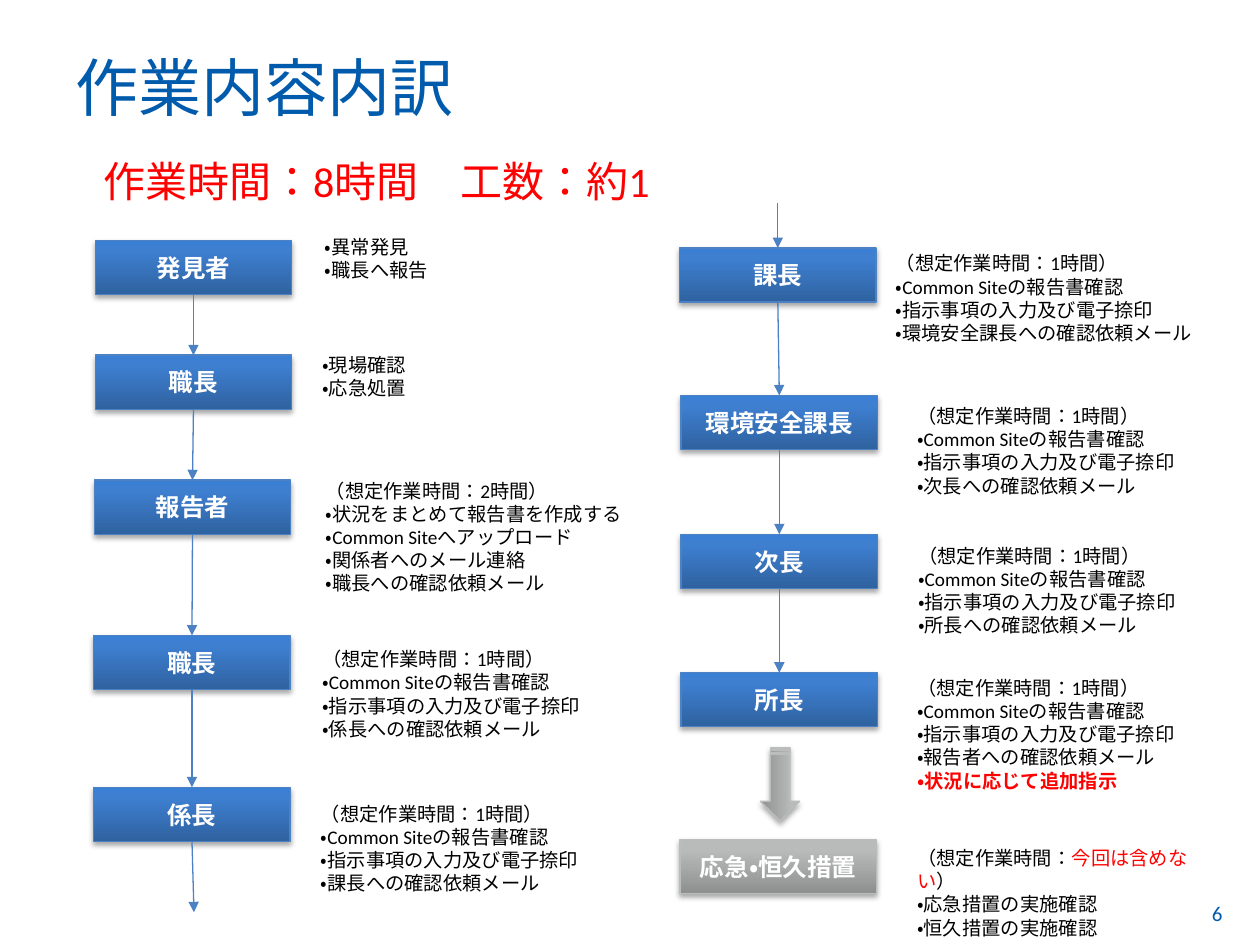
from copy import deepcopy
from dataclasses import dataclass
from itertools import pairwise

from lxml.etree import SubElement
from pptx import Presentation
from pptx.dml.color import RGBColor
from pptx.enum.lang import MSO_LANGUAGE_ID
from pptx.enum.shapes import MSO_CONNECTOR, MSO_SHAPE
from pptx.enum.text import MSO_ANCHOR, PP_ALIGN
from pptx.oxml.ns import qn
from pptx.util import Cm, Pt

WHITE = RGBColor(0xFF, 0xFF, 0xFF)
BLACK = RGBColor(0x00, 0x00, 0x00)
RED = RGBColor(0xFF, 0x00, 0x00)
TITLE_BLUE = RGBColor(0x00, 0x5B, 0xAC)
LINE_BLUE = RGBColor(0x4C, 0x82, 0xC3)
LINE_GRAY = RGBColor(0xBB, 0xBC, 0xBC)
BLUES = (RGBColor(0x2F, 0x62, 0xA0), RGBColor(0x3E, 0x7F, 0xD0), RGBColor(0x3B, 0x7F, 0xD4))
GRAYS = (RGBColor(0x8E, 0x8F, 0x8F), RGBColor(0xB9, 0xBA, 0xBA), RGBColor(0xBA, 0xBB, 0xBB))

BOX_W, BOX_H = 3.96, 1.09
HOUR = "（想定作業時間：1時間）"
REVIEW = (HOUR, "・Common Siteの報告書確認", "・指示事項の入力及び電子捺印")


@dataclass
class Area:
    x: float
    y: float
    w: float
    h: float

    def emu(self) -> tuple:
        return Cm(self.x), Cm(self.y), Cm(self.w), Cm(self.h)


@dataclass
class Step:
    role: str
    x: float
    y: float
    note: Area
    lines: tuple

    def center(self) -> float:
        return self.x + BOX_W / 2


LEFT_STEPS = [
    Step("発見者", 1.92, 4.85, Area(6.3, 4.62, 4.52, 1.6), ("・異常発見", "・職長へ報告")),
    Step("職長", 1.92, 7.16, Area(6.25, 6.99, 4.52, 1.6), ("・現場確認", "・応急処置")),
    Step("報告者", 1.9, 9.68, Area(6.32, 9.53, 7.09, 3.71),
         ("（想定作業時間：2時間）", "・状況をまとめて報告書を作成する",
          "・Common Siteへアップロード", "・関係者へのメール連絡", "・職長への確認依頼メール")),
    Step("職長", 1.89, 12.81, Area(6.25, 12.93, 7.09, 3.2), (*REVIEW, "・係長への確認依頼メール")),
    Step("係長", 1.89, 15.87, Area(6.22, 16.05, 7.09, 2.31), (*REVIEW, "・課長への確認依頼メール")),
]
RIGHT_STEPS = [
    Step("課長", 13.7, 5, Area(17.81, 4.95, 6.65, 2.51), (*REVIEW, "・環境安全課長への確認依頼メール")),
    Step("環境安全課長", 13.73, 7.97, Area(18.24, 8.03, 6.2, 2.51), (*REVIEW, "・次長への確認依頼メール")),
    Step("次長", 13.73, 10.77, Area(18.26, 10.85, 6.2, 2.51), (*REVIEW, "・所長への確認依頼メール")),
    Step("所長", 13.73, 13.56, Area(18.24, 13.51, 5.87, 3.2),
         (*REVIEW, "・報告者への確認依頼メール", "・状況に応じて追加指示")),
]


def format_run(r, size: float, color: RGBColor, bold: bool = False) -> None:
    r.font.name = "Calibri"
    r.font.language_id = MSO_LANGUAGE_ID.JAPANESE
    r.font.size = Pt(size)
    r.font.color.rgb = color
    r.font.bold = bold


def write(sp, lines: tuple, size: float, color: RGBColor, bold: bool = False,
          align=PP_ALIGN.LEFT, anchor=MSO_ANCHOR.TOP):
    tf = sp.text_frame
    tf.word_wrap = True
    tf.vertical_anchor = anchor
    tf.text = "\n".join(lines)
    for p in tf.paragraphs:
        p.alignment = align
        for r in p.runs:
            format_run(r, size, color, bold)
    return tf


def add_label(s, area: Area, text: str, size: float, color: RGBColor, anchor=MSO_ANCHOR.TOP) -> None:
    write(s.shapes.add_textbox(*area.emu()), (text,), size, color, anchor=anchor)


def add_glossy(s, kind, area: Area, colors: tuple, line: RGBColor):
    sp = s.shapes.add_shape(kind, *area.emu())
    sp.fill.gradient()
    sp.fill.gradient_angle = 90
    first_stop = next(sp._element.spPr.iter(qn("a:gs")))
    first_stop.addnext(deepcopy(first_stop))
    for stop, position, color in zip(sp.fill.gradient_stops, (0, 0.8, 1), colors):
        stop.position = position
        stop.color.rgb = color
    sp.line.color.rgb = line
    sp.line.width = Pt(0.75)
    sp.shadow.inherit = False
    effects = sp._element.spPr.find(qn("a:effectLst"))
    shadow = SubElement(effects, qn("a:outerShdw"), blurRad="40000", dist="23000",
                        dir="5400000", rotWithShape="0")
    black = SubElement(shadow, qn("a:srgbClr"), val="000000")
    SubElement(black, qn("a:alpha"), val="35000")
    return sp


def add_box(s, x: float, y: float, role: str, colors: tuple, line: RGBColor) -> None:
    sp = add_glossy(s, MSO_SHAPE.RECTANGLE, Area(x, y, BOX_W, BOX_H), colors, line)
    tf = write(sp, (role,), 14, WHITE, True, PP_ALIGN.CENTER, MSO_ANCHOR.MIDDLE)
    tf.margin_left = tf.margin_right = Cm(0)


def add_step(s, step: Step):
    add_box(s, step.x, step.y, step.role, BLUES, LINE_BLUE)
    note = s.shapes.add_shape(MSO_SHAPE.RECTANGLE, *step.note.emu())
    note.shadow.inherit = False
    note.fill.solid()
    note.fill.fore_color.rgb = WHITE
    note.line.fill.background()
    tf = write(note, step.lines, 11, BLACK)
    tf.margin_right = Cm(0)
    return tf


def add_arrow(s, x1: float, y1: float, x2: float, y2: float) -> None:
    c = s.shapes.add_connector(MSO_CONNECTOR.STRAIGHT, Cm(x1), Cm(y1), Cm(x2), Cm(y2))
    c.line.color.rgb = LINE_BLUE
    c.line.width = Pt(0.75)
    SubElement(c.line._get_or_add_ln(), qn("a:tailEnd"), type="triangle")
    SubElement(c._element.spPr, qn("a:effectLst"))


def add_follow_up(s) -> None:
    arrow = add_glossy(s, MSO_SHAPE.STRIPED_RIGHT_ARROW, Area(14.99, 15.42, 1.47, 0.79), GRAYS, LINE_GRAY)
    arrow.rotation = 90
    add_box(s, 13.71, 16.92, "応急・恒久措置", GRAYS, LINE_GRAY)
    note = s.shapes.add_textbox(*Area(18.24, 16.94, 6.5, 1.57).emu())
    tf = write(note, ("（想定作業時間：", "・応急措置の実施確認", "・恒久措置の実施確認"), 11, BLACK)
    for text, color in (("今回は含めない", RED), ("）", BLACK)):
        r = tf.paragraphs[0].add_run()
        r.text = text
        format_run(r, 11, color)


def main() -> None:
    prs = Presentation()
    prs.slide_width, prs.slide_height = Cm(25.4), Cm(19.05)
    s = prs.slides.add_slide(prs.slide_layouts[6])

    add_label(s, Area(24.18, 18.03, 1.22, 1.02), "6", 12, TITLE_BLUE)
    add_label(s, Area(1.27, 0.66, 22.86, 1.96), "作業内容内訳", 36, TITLE_BLUE, MSO_ANCHOR.BOTTOM)
    add_label(s, Area(1.83, 3.02, 14.5, 1.4), "作業時間：8時間　工数：約1", 24, RED)

    for steps in (LEFT_STEPS, RIGHT_STEPS):
        for step in steps:
            tf = add_step(s, step)
        for a, b in pairwise(steps):
            add_arrow(s, a.center(), a.y + BOX_H, b.center(), b.y)
    format_run(tf.paragraphs[-1].runs[0], 11, RED, True)

    last, first = LEFT_STEPS[-1], RIGHT_STEPS[0]
    add_arrow(s, last.center(), last.y + BOX_H, 3.91, 18.39)
    add_arrow(s, first.center(), 4.09, first.center(), first.y)
    add_follow_up(s)
    prs.save("out.pptx")


if __name__ == "__main__":
    main()
